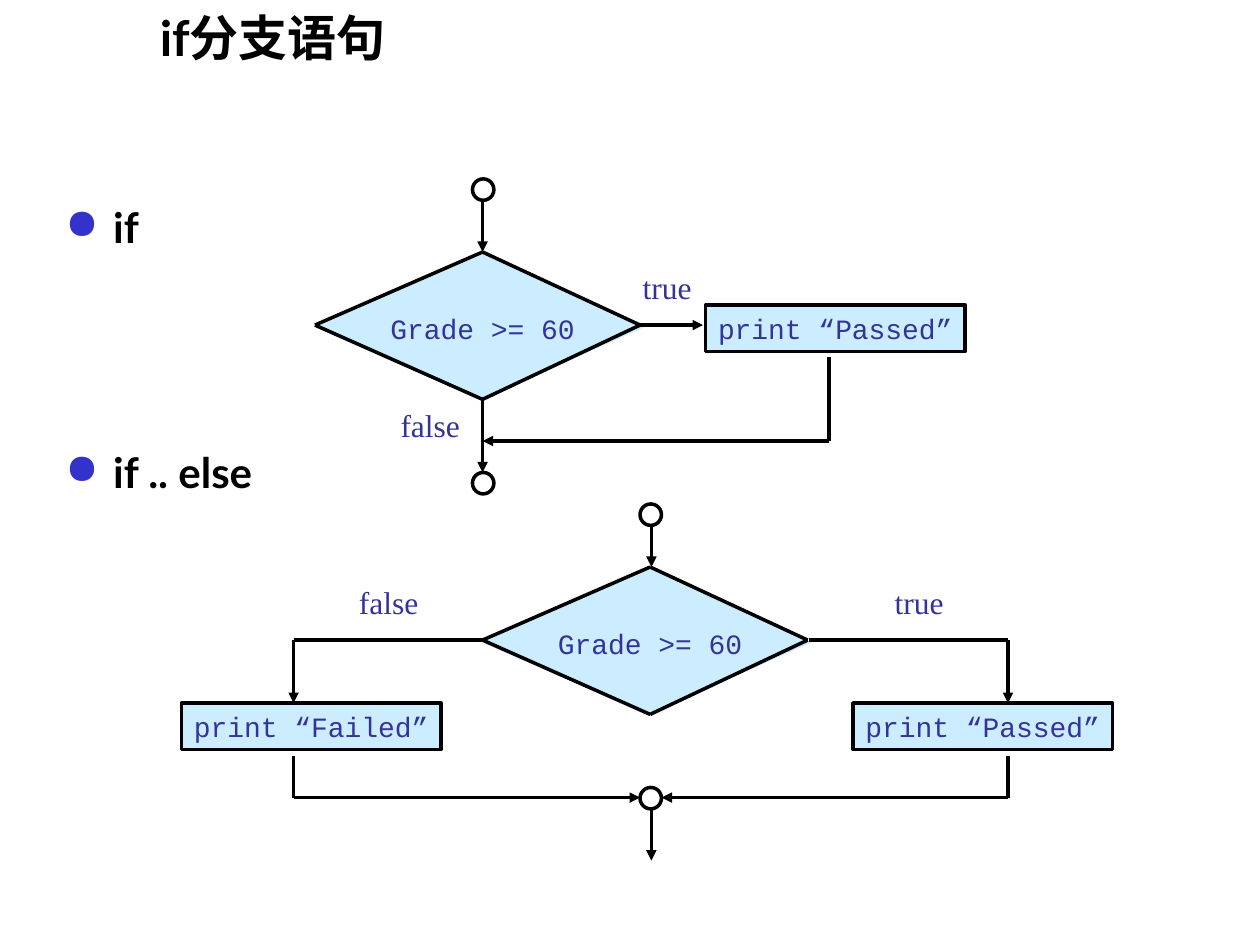
from itertools import pairwise

from pptx import Presentation
from pptx.dml.color import RGBColor
from pptx.enum.shapes import MSO_CONNECTOR as Connector, MSO_SHAPE as Shape
from pptx.enum.text import MSO_ANCHOR as Anchor, MSO_AUTO_SIZE as AutoSize, PP_ALIGN as Align
from pptx.oxml.ns import qn
from pptx.oxml.xmlchemy import OxmlElement as Element
from pptx.util import Inches, Pt

BLACK = RGBColor(0x00, 0x00, 0x00)
WHITE = RGBColor(0xFF, 0xFF, 0xFF)
PALE_BLUE = RGBColor(0xCC, 0xEC, 0xFF)
INDIGO = RGBColor(0x33, 0x33, 0x99)
BULLET_BLUE = RGBColor(0x33, 0x33, 0xCC)

TITLE = {"name": "Lato", "size": Pt(28), "bold": True}
BODY = {"name": "Lato", "size": Pt(24), "bold": True}
CODE = {"name": "Courier New", "size": Pt(16)}
BRANCH = {"name": "Times New Roman", "size": Pt(18)}
FITTED = {"word_wrap": False, "auto_size": AutoSize.SHAPE_TO_FIT_TEXT}

BRANCH_WIDTHS = {"true": 0.59, "false": 0.67}
DIAMOND_FILL = [(1.31, 0), (0, 0.6), (1.31, 1.17), (2.61, 0.6)]
DIAMOND_EDGE = [(1.33, 0), (2.58, 0.58), (1.33, 1.17), (0, 0.58), (1.33, 0)]
NODE_SIZE = 0.17


def apply(target, values):
    for name, value in values.items():
        setattr(target, name, value)


class Flowchart:
    """Draws flowchart elements in one style on the current slide."""

    def __init__(self, slide, line_width=Pt(2)):
        self.slide = slide
        self.shapes = slide.shapes
        self.line_width = line_width

    def add_text(self, paragraph, text, font, color):
        run = paragraph.add_run()
        run.text = text
        apply(run.font, font)
        run.font.color.rgb = color

    def outline(self, line):
        line.color.rgb = BLACK
        line.width = self.line_width

    def paint(self, shape, color):
        shape.shadow.inherit = False
        shape.fill.solid()
        shape.fill.fore_color.rgb = color

    def preset(self, kind, left, top, width, height, color):
        shape = self.shapes.add_shape(kind, *map(Inches, (left, top, width, height)))
        self.paint(shape, color)
        self.outline(shape.line)
        return shape

    def title(self, text, left, top, width, height):
        box = self.shapes.add_textbox(*map(Inches, (left, top, width, height)))
        apply(box.text_frame, {"word_wrap": True, "vertical_anchor": Anchor.MIDDLE})
        self.add_text(box.text_frame.paragraphs[0], text, TITLE, BLACK)

    def bullets(self, items, left, top, width, height):
        box = self.shapes.add_textbox(*map(Inches, (left, top, width, height)))
        frame = box.text_frame
        frame.word_wrap = True
        for index, (text, space) in enumerate(items):
            paragraph = frame.add_paragraph() if index else frame.paragraphs[0]
            paragraph.space_before = Pt(space)
            self.add_text(paragraph, text, BODY, BLACK)
            properties = paragraph._p.get_or_add_pPr()
            properties.set("marL", str(Inches(0.38)))
            properties.set("indent", str(Inches(-0.38)))
            color = Element("a:buClr")
            value = Element("a:srgbClr")
            value.set("val", str(BULLET_BLUE))
            color.append(value)
            character = Element("a:buChar")
            character.set("char", "●")
            properties.extend([color, character])

    def caption(self, shape, text, font):
        apply(shape.text_frame, FITTED)
        paragraph = shape.text_frame.paragraphs[0]
        paragraph.alignment = Align.CENTER
        self.add_text(paragraph, text, font, INDIGO)

    def label(self, text, left, top, width, height, font):
        box = self.shapes.add_textbox(*map(Inches, (left, top, width, height)))
        self.caption(box, text, font)

    def branch(self, text, left, top):
        self.label(text, left, top, BRANCH_WIDTHS[text], 0.4, BRANCH)

    def action(self, text, left, top):
        shape = self.preset(Shape.RECTANGLE, left, top, 2.06, 0.37, PALE_BLUE)
        self.caption(shape, text, CODE)

    def node(self, left, top):
        self.preset(Shape.OVAL, left, top, NODE_SIZE, NODE_SIZE, WHITE)

    def decision(self, text, left, top):
        corners = [(Inches(left + x), Inches(top + y)) for x, y in DIAMOND_FILL]
        builder = self.shapes.build_freeform(*corners[0])
        builder.add_line_segments(corners[1:], close=True)
        diamond = builder.convert_to_shape()
        self.paint(diamond, PALE_BLUE)
        diamond.line.fill.background()
        self.flow(*[(left + x, top + y) for x, y in DIAMOND_EDGE], arrow=False)
        self.label(text, left + 0.5, top + 0.42, 1.66, 0.37, CODE)

    def flow(self, *points, arrow=True):
        for start, end in pairwise(points):
            ends = map(Inches, (*start, *end))
            connector = self.shapes.add_connector(Connector.STRAIGHT, *ends)
            self.outline(connector.line)
            properties = connector._element.spPr
            properties.append(Element("a:effectLst"))
            if arrow and end == points[-1]:
                head = Element("a:tailEnd")
                head.set("type", "triangle")
                properties.find(qn("a:ln")).append(head)


def draw_if(chart):
    chart.action("print “Passed”", 5.6, 2.42)
    chart.decision("Grade >= 60", 2.5, 2)
    chart.flow((3.83, 1.58), (3.83, 2))
    chart.node(3.75, 1.42)
    chart.node(3.75, 3.75)
    chart.flow((3.83, 3.17), (3.83, 3.75))
    chart.flow((5.08, 2.58), (5.58, 2.58))
    chart.flow((6.58, 2.83), (6.58, 3.5), (3.83, 3.5))
    chart.branch("true", 5, 2.08)
    chart.branch("false", 3.08, 3.17)


def draw_if_else(chart):
    chart.decision("Grade >= 60", 3.83, 4.5)
    chart.flow((5.17, 4.17), (5.17, 4.5))
    chart.node(5.08, 4)
    sides = [
        ("false", 2.75, "print “Failed”", 1.44, 3.83, 2.33, 5.08),
        ("true", 7, "print “Passed”", 6.77, 6.42, 8, 5.25),
    ]
    for answer, answer_left, action, action_left, corner, lane, merge in sides:
        chart.branch(answer, answer_left, 4.58)
        chart.action(action, action_left, 5.58)
        chart.flow((corner, 5.08), (lane, 5.08), (lane, 5.58))
        chart.flow((lane, 6), (lane, 6.33), (merge, 6.33))
    chart.node(5.08, 6.25)
    chart.flow((5.17, 6.42), (5.17, 6.83))


def main():
    presentation = Presentation()
    apply(presentation, {"slide_width": Inches(10), "slide_height": Inches(7.5)})
    chart = Flowchart(presentation.slides.add_slide(presentation.slide_layouts[6]))
    chart.title("if分支语句", 1.17, -0.33, 8.5, 1.25)
    chart.bullets([("if", 6), ("if .. else", 111)], 0.42, 1.55, 9.17, 3.14)
    draw_if(chart)
    draw_if_else(chart)
    presentation.save("out.pptx")


if __name__ == "__main__":
    main()
